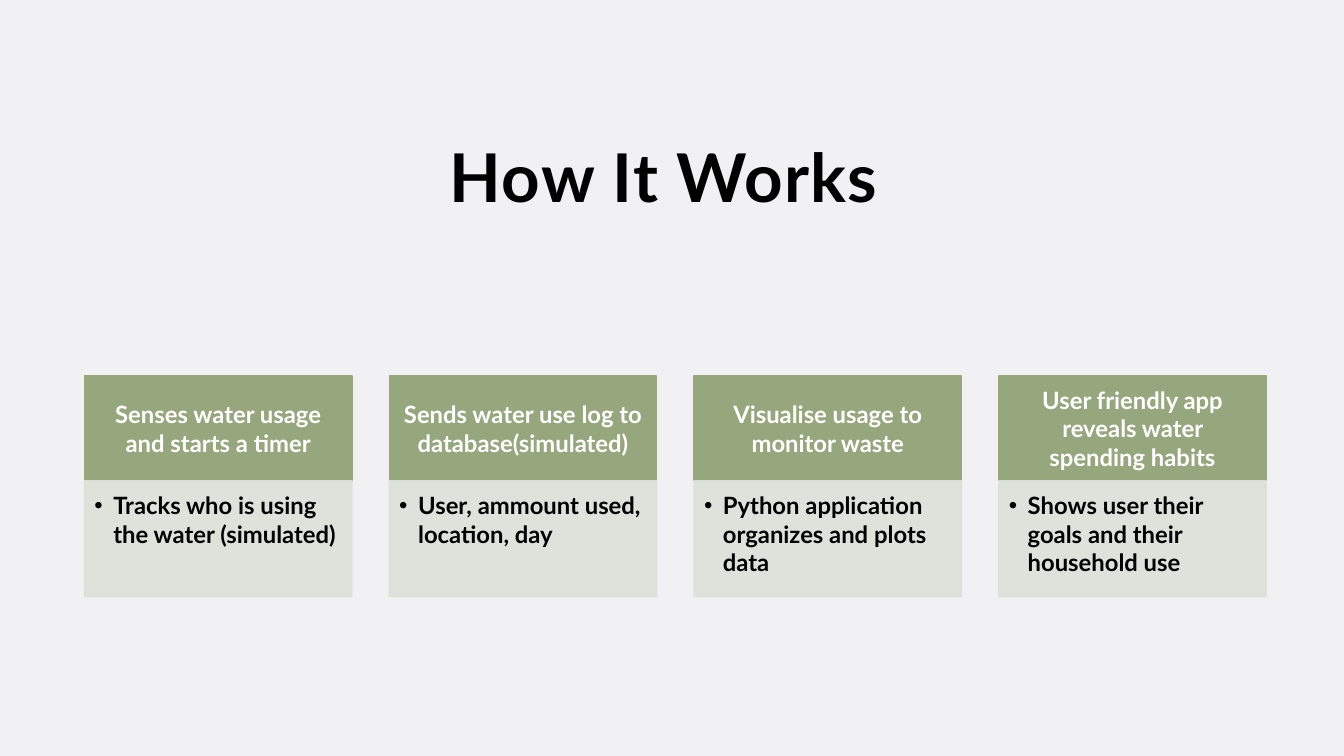
from dataclasses import dataclass

from lxml.etree import SubElement
from pptx import Presentation
from pptx.dml.color import RGBColor
from pptx.enum.shapes import MSO_SHAPE
from pptx.enum.text import MSO_ANCHOR, MSO_AUTO_SIZE, PP_ALIGN
from pptx.oxml.ns import qn
from pptx.shapes.autoshape import Shape
from pptx.slide import Slide
from pptx.util import Pt


@dataclass(frozen=True)
class Theme:
    font: str = "Lato"
    background: RGBColor = RGBColor(0xF1, 0xF0, 0xF3)
    header: RGBColor = RGBColor(0x96, 0xA7, 0x7E)
    detail: RGBColor = RGBColor(0xDD, 0xE1, 0xD8)
    dark: RGBColor = RGBColor(0, 0, 0)
    light: RGBColor = RGBColor(0xFF, 0xFF, 0xFF)
    title_size: float = 48
    body_size: float = 17


@dataclass(frozen=True)
class Step:
    heading: str
    detail: str


THEME = Theme()
STEPS = [
    Step("Senses water usage and starts a timer", "Tracks who is using the water (simulated)"),
    Step("Sends water use log to database(simulated)", "User, ammount used, location, day"),
    Step("Visualise usage to monitor waste", "Python application organizes and plots data"),
    Step("User friendly app reveals water spending habits", "Shows user their goals and their household use"),
]

STEP_LEFT, STEP_PITCH, STEP_WIDTH = 60.4, 217.7, 191
HEADER_TOP, HEADER_HEIGHT, DETAIL_HEIGHT = 268.6, 74.8, 82.9
BULLET_INDENT = 13.5


def write(
    shape: Shape,
    text: str,
    *,
    size: float = THEME.body_size,
    color: RGBColor = THEME.dark,
    align: PP_ALIGN = PP_ALIGN.CENTER,
    anchor: MSO_ANCHOR = MSO_ANCHOR.MIDDLE,
    insets: tuple[float, float, float, float] = (7.2, 3.6, 7.2, 3.6),
    bullet: bool = False,
    tracking: float = 0,
) -> None:
    frame = shape.text_frame
    frame.word_wrap = True
    frame.auto_size = MSO_AUTO_SIZE.NONE
    frame.vertical_anchor = anchor
    frame.margin_left, frame.margin_top, frame.margin_right, frame.margin_bottom = map(Pt, insets)
    paragraph = frame.paragraphs[0]
    paragraph.alignment = align
    run = paragraph.add_run()
    run.text = text
    run.font.name = THEME.font
    run.font.size = Pt(size)
    run.font.bold = True
    run.font.color.rgb = color
    if tracking:
        run.font._element.set("spc", str(round(tracking * 100)))
    if bullet:
        properties = paragraph._p.get_or_add_pPr()
        properties.set("marL", str(Pt(BULLET_INDENT)))
        properties.set("indent", str(Pt(-BULLET_INDENT)))
        SubElement(properties, qn("a:buFont"), typeface="Arial")
        SubElement(properties, qn("a:buChar"), char="•")


def add_panel(
    slide: Slide, left: float, top: float, height: float, color: RGBColor, opacity: int = 100
) -> Shape:
    panel = slide.shapes.add_shape(
        MSO_SHAPE.RECTANGLE, Pt(left), Pt(top), Pt(STEP_WIDTH), Pt(height)
    )
    panel.shadow.inherit = False
    panel.fill.solid()
    panel.fill.fore_color.rgb = color
    panel.line.color.rgb = color
    panel.line.width = Pt(1)
    if opacity < 100:
        for tint in panel._element.spPr.iter(qn("a:srgbClr")):
            SubElement(tint, qn("a:alpha"), val=str(opacity * 1000))
    return panel


def add_step(slide: Slide, step: Step, left: float) -> None:
    header = add_panel(slide, left, HEADER_TOP, HEADER_HEIGHT, THEME.header)
    write(header, step.heading, color=THEME.light, insets=(9.4, 5.4, 9.4, 5.4))
    detail = add_panel(
        slide, left, HEADER_TOP + HEADER_HEIGHT, DETAIL_HEIGHT, THEME.detail, opacity=90
    )
    write(
        detail,
        step.detail,
        align=PP_ALIGN.LEFT,
        anchor=MSO_ANCHOR.TOP,
        insets=(7.1, 7.1, 9.4, 10.6),
        bullet=True,
    )


def main() -> None:
    deck = Presentation()
    deck.slide_width, deck.slide_height = Pt(960), Pt(540)
    slide = deck.slides.add_slide(deck.slide_layouts.get_by_name("Title Only"))
    slide.background.fill.solid()
    slide.background.fill.fore_color.rgb = THEME.background

    title = slide.shapes.title
    title.left, title.top, title.width, title.height = map(Pt, (80.6, 57.6, 787.7, 136.1))
    write(title, "How It Works", size=THEME.title_size, tracking=1)

    for index, step in enumerate(STEPS):
        add_step(slide, step, STEP_LEFT + index * STEP_PITCH)

    deck.save("out.pptx")


if __name__ == "__main__":
    main()
